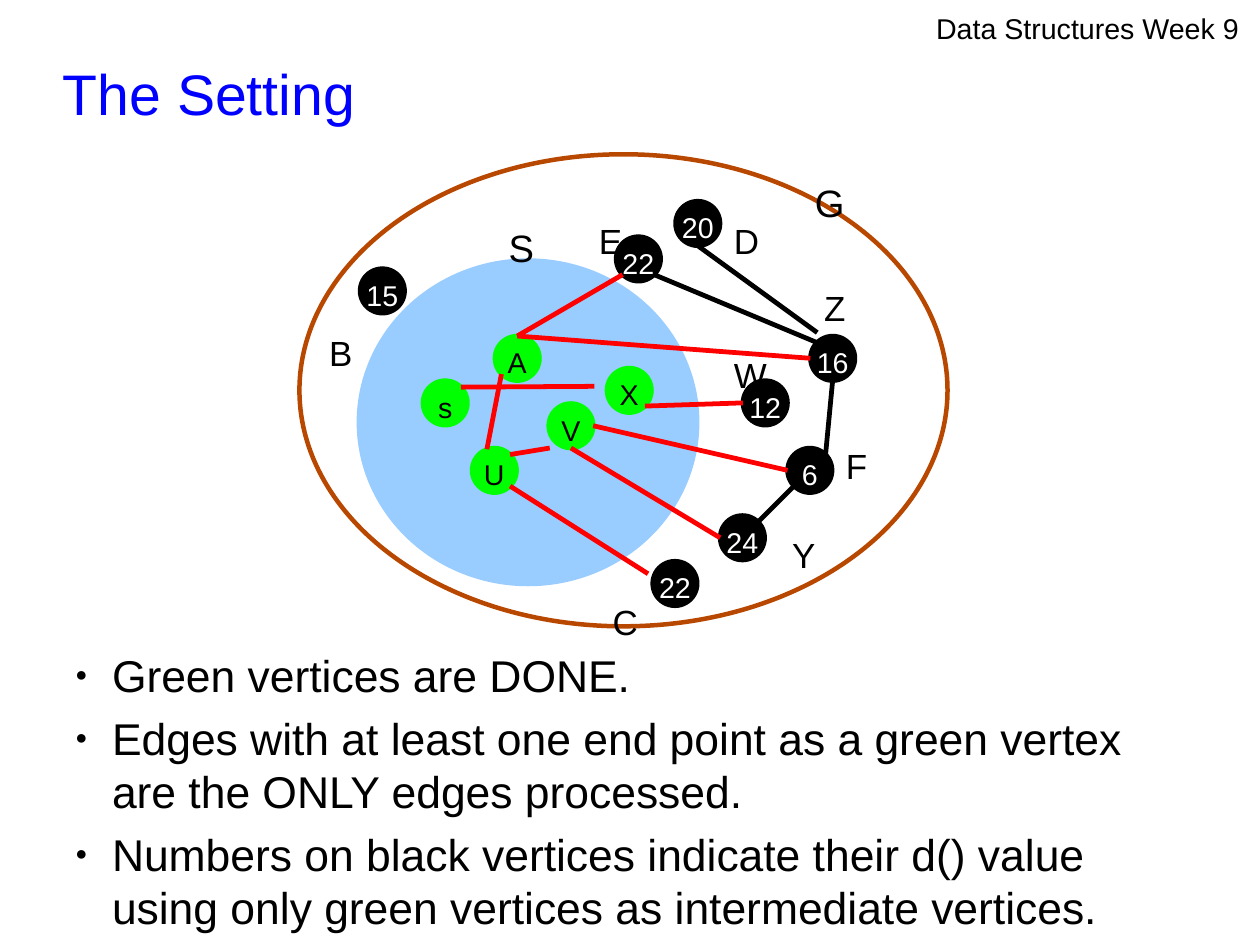
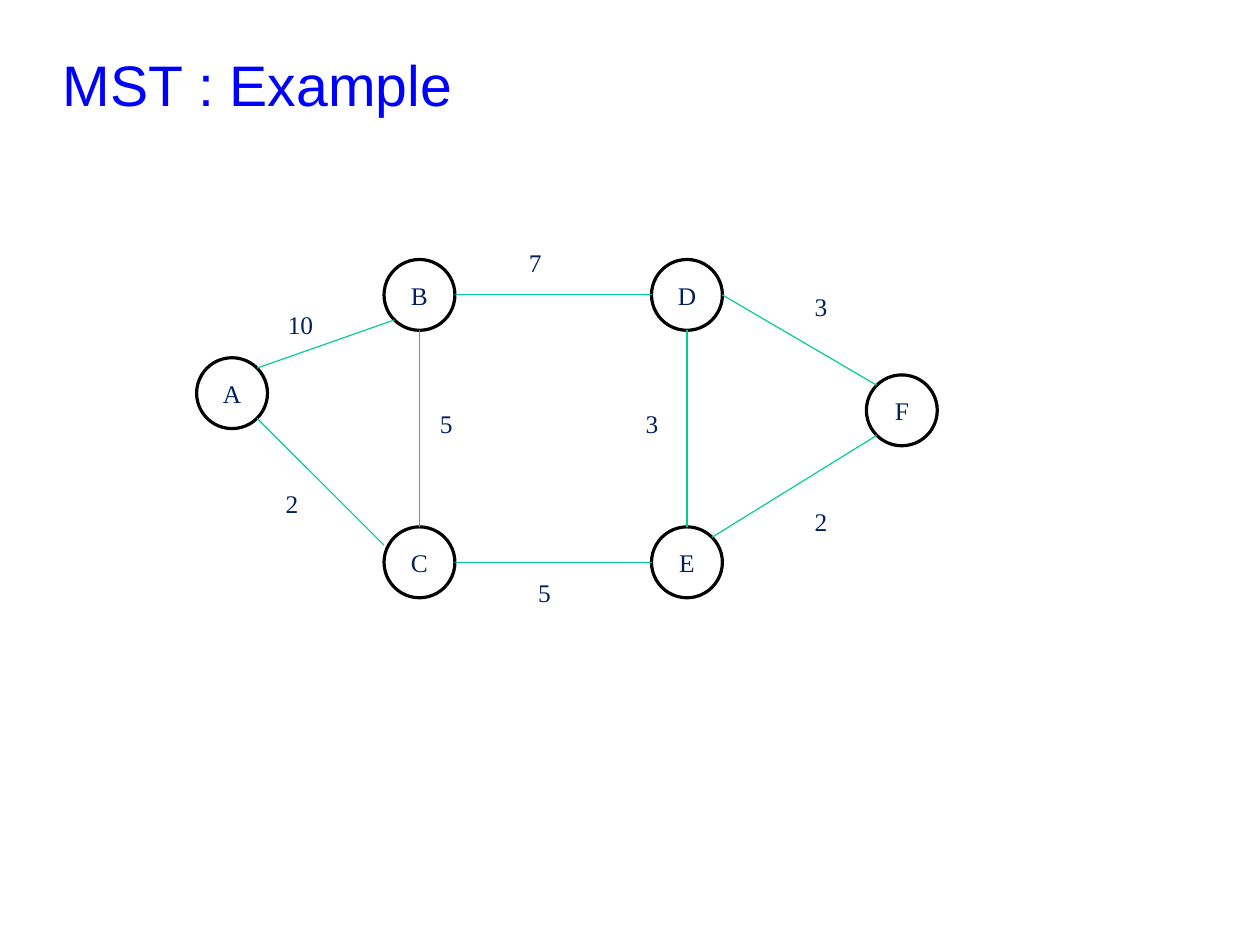
from math import cos, radians, sin

from lxml import etree
from pptx import Presentation
from pptx.dml.color import RGBColor
from pptx.enum.shapes import MSO_CONNECTOR, MSO_SHAPE
from pptx.enum.text import MSO_ANCHOR, PP_ALIGN
from pptx.oxml.ns import qn
from pptx.util import Cm, Inches, Pt

COLORS = {
    "title": "0000FF", "black": "000000", "white": "FFFFFF",
    "done": "00FF00", "set": "99CCFF", "graph": "B84700",
    "processed": "FF0000", "mst_edge": "00CC98", "mst_text": "002060",
}
SANS, SERIF = "Arial", "Times New Roman"
NO_INSETS, WIDE_INSETS, SLIM_INSETS = (0, 0), (0.12, 0.07), (0.1, 0.05)
LOOSE = 1.24

# Clockwise angle, in degrees, of each point where an edge meets a vertex
SITES = {"right": 0, "bottom right": 45, "bottom": 90, "bottom left": 135,
         "left": 180, "top left": 225, "top": 270, "top right": 315}

SETTING_DIAMETER = 0.39
PENDING = {  # vertex: (left, top, d value)
    "W": (6.5, 3.33, "12"), "F": (6.89, 3.92, "6"), "Z": (7.09, 2.94, "16"),
    "B": (3.15, 2.35, "15"), "E": (5.39, 2.07, "22"), "C": (5.71, 4.91, "22"),
    "D": (5.91, 1.76, "20"), "Y": (6.3, 4.51, "24"),
}
DONE = {"s": (3.7, 3.33), "U": (4.13, 3.92), "A": (4.33, 2.94),
        "V": (4.8, 3.53), "X": (5.31, 3.22)}
SET_LABELS = [("S", 4.33, 1.8), ("G", 7.01, 1.4)]
VERTEX_LABELS = [("B", 2.76, 2.74), ("C", 5.24, 5.1), ("E", 5.12, 1.76),
                 ("D", 6.3, 1.76), ("Z", 7.09, 2.35), ("Y", 6.81, 4.51),
                 ("F", 7.28, 3.73), ("W", 6.3, 2.94)]
# An edge end is (vertex, site), or a plain (x, y) when it stops short of one
PROCESSED_EDGES = [
    (("A", "top"), ("E", "bottom left")),
    (("A", "top"), ("Z", "left")),
    (("X", "bottom right"), ("W", "left")),
    (("V", "bottom"), ("Y", "left")),
    (("U", "bottom right"), (5.67, 5.02)),
    (("V", "right"), ("F", "left")),
    ((4.26, 3.93), ("A", "bottom left")),
    (("s", "top right"), (5.2, 3.38)),
    (("U", "top right"), (4.81, 3.92)),
]
PENDING_EDGES = [
    (("E", "bottom right"), ("Z", "top left")),
    (("D", "bottom"), (7.15, 2.91)),
    (("Y", "top right"), ("F", "bottom left")),
    (("Z", "bottom"), ("F", "top right")),
]
REMARKS = [
    "Green vertices are DONE.",
    "Edges with at least one end point as a green vertex are the ONLY edges processed.",
    "Numbers on black vertices indicate their d() value using only green "
    "vertices as intermediate vertices.",
]

MST_DIAMETER = 0.62
MST_VERTICES = {"A": (1.72, 3.13), "B": (3.36, 2.27), "C": (3.36, 4.61),
                "E": (5.7, 4.61), "D": (5.7, 2.27), "F": (7.58, 3.28)}
MST_EDGES = [
    (("A", "top right"), ("B", "bottom left")),
    (("A", "bottom right"), (3.36, 4.77)),
    (("B", "right"), ("D", "left")),
    (("D", "right"), ("F", "top left")),
    (("B", "bottom"), ("C", "top")),
    (("D", "bottom"), ("E", "top")),
    (("E", "top right"), ("F", "bottom left")),
    (("C", "right"), ("E", "left")),
]
WEIGHTS = [("10", 2.42, 2.66), ("2", 2.4, 4.22), ("5", 3.75, 3.52),
           ("7", 4.53, 2.11), ("3", 5.55, 3.52), ("3", 7.03, 2.5),
           ("2", 7.03, 4.38), ("5", 4.61, 5)]


def rgb(color):
    return RGBColor.from_string(COLORS[color])


def set_insets(frame, insets):
    frame.margin_left = frame.margin_right = Inches(insets[0])
    frame.margin_top = frame.margin_bottom = Inches(insets[1])


def style_paragraph(paragraph, size, color, font=SANS, spacing=None, align=None):
    paragraph.alignment = align
    paragraph.line_spacing = spacing
    for run in paragraph.runs:
        run.font.size = Pt(size)
        run.font.name = font
        run.font.color.rgb = rgb(color)


def add_text(slide, box, text, size, color="black", insets=NO_INSETS,
             anchor=MSO_ANCHOR.TOP, **style):
    frame = slide.shapes.add_textbox(*map(Inches, box)).text_frame
    frame.word_wrap = True
    frame.vertical_anchor = anchor
    set_insets(frame, insets)
    frame.text = text
    for paragraph in frame.paragraphs:
        style_paragraph(paragraph, size, color, **style)
    return frame


def add_title(slide, text, spacing=None):
    add_text(slide, (0.55, 0.33, 9.88, 0.81), text, 36, "title",
             anchor=MSO_ANCHOR.MIDDLE, spacing=spacing)


def add_remarks(slide):
    frame = add_text(slide, (0.55, 5.67, 9.89, 2.49), "\n".join(REMARKS), 28)
    for paragraph in frame.paragraphs:
        paragraph.space_after = Pt(5.8)
        properties = paragraph._p.get_or_add_pPr()
        properties.set("marL", str(Inches(0.43)))
        properties.set("indent", str(Inches(-0.32)))
        etree.SubElement(properties, qn("a:buSzPct"), val="45000")
        etree.SubElement(properties, qn("a:buFont"), typeface=SANS)
        etree.SubElement(properties, qn("a:buChar"), char="●")


def add_ellipse(slide, box, fill, outline, width):
    ellipse = slide.shapes.add_shape(MSO_SHAPE.OVAL, *map(Inches, box))
    ellipse.shadow.inherit = False
    if fill:
        ellipse.fill.solid()
        ellipse.fill.fore_color.rgb = rgb(fill)
    else:
        ellipse.fill.background()
    ellipse.line.color.rgb = rgb(outline)
    ellipse.line.width = Pt(width)
    return ellipse


def add_vertex(slide, place, diameter, text, fill, outline, width, insets, wrap,
               size, color, **style):
    vertex = add_ellipse(slide, (*place, diameter, diameter), fill, outline, width)
    frame = vertex.text_frame
    frame.word_wrap = wrap
    frame.vertical_anchor = MSO_ANCHOR.MIDDLE
    set_insets(frame, insets)
    frame.text = text
    style_paragraph(frame.paragraphs[0], size, color, align=PP_ALIGN.CENTER, **style)


def locate(end, places, diameter):
    """Turn an edge end into x and y in inches."""
    if end[0] not in places:
        return end
    left, top = places[end[0]][:2]
    angle, radius = radians(SITES[end[1]]), diameter / 2
    return left + radius + radius * cos(angle), top + radius + radius * sin(angle)


def add_edges(slide, edges, places, diameter, color, width):
    for start, finish in edges:
        points = locate(start, places, diameter) + locate(finish, places, diameter)
        edge = slide.shapes.add_connector(MSO_CONNECTOR.STRAIGHT, *map(Inches, points))
        edge.line.color.rgb = rgb(color)
        edge.line.width = Pt(width)
        etree.SubElement(edge._element.spPr, qn("a:effectLst"))


def add_labels(slide, labels, box_size, size, **style):
    for text, left, top in labels:
        add_text(slide, (left, top, *box_size), text, size, **style)


def build_setting(slide):
    add_text(slide, (8.19, 0.1, 2.71, 0.33), "Data Structures Week 9", 18)
    add_title(slide, "The Setting", LOOSE)
    add_ellipse(slide, (3.14, 2.28, 2.96, 2.83), "set", "set", 2.83)
    add_ellipse(slide, (2.62, 1.35, 5.67, 4.13), None, "graph", 2.83)

    look = dict(width=2.83, insets=WIDE_INSETS, wrap=False, size=18, spacing=LOOSE)
    for left, top, distance in PENDING.values():
        add_vertex(slide, (left, top), SETTING_DIAMETER, distance,
                   "black", "black", color="white", **look)
    for name, place in DONE.items():
        add_vertex(slide, place, SETTING_DIAMETER, name,
                   "done", "done", color="black", **look)

    for labels, size in ((SET_LABELS, 24), (VERTEX_LABELS, 22)):
        add_labels(slide, labels, (0.59, 0.6), size, insets=WIDE_INSETS, spacing=LOOSE)
    add_remarks(slide)

    places = PENDING | DONE
    add_edges(slide, PROCESSED_EDGES, places, SETTING_DIAMETER, "processed", 3)
    add_edges(slide, PENDING_EDGES, places, SETTING_DIAMETER, "black", 3)


def build_mst_example(slide):
    add_title(slide, "MST : Example")
    look = dict(insets=SLIM_INSETS, size=16, color="mst_text", font=SERIF)
    for name, place in MST_VERTICES.items():
        add_vertex(slide, place, MST_DIAMETER, name, "white", "black", 2,
                   wrap=True, **look)
    add_edges(slide, MST_EDGES, MST_VERTICES, MST_DIAMETER, "mst_edge", 0.75)
    add_labels(slide, WEIGHTS, (0.47, 0.37), **look)


def main():
    deck = Presentation()
    deck.slide_width = Cm(28)
    deck.slide_height = Cm(21)
    blank = deck.slide_layouts[6]
    for build in (build_setting, build_mst_example):
        build(deck.slides.add_slide(blank))
    deck.save("out.pptx")


if __name__ == "__main__":
    main()
